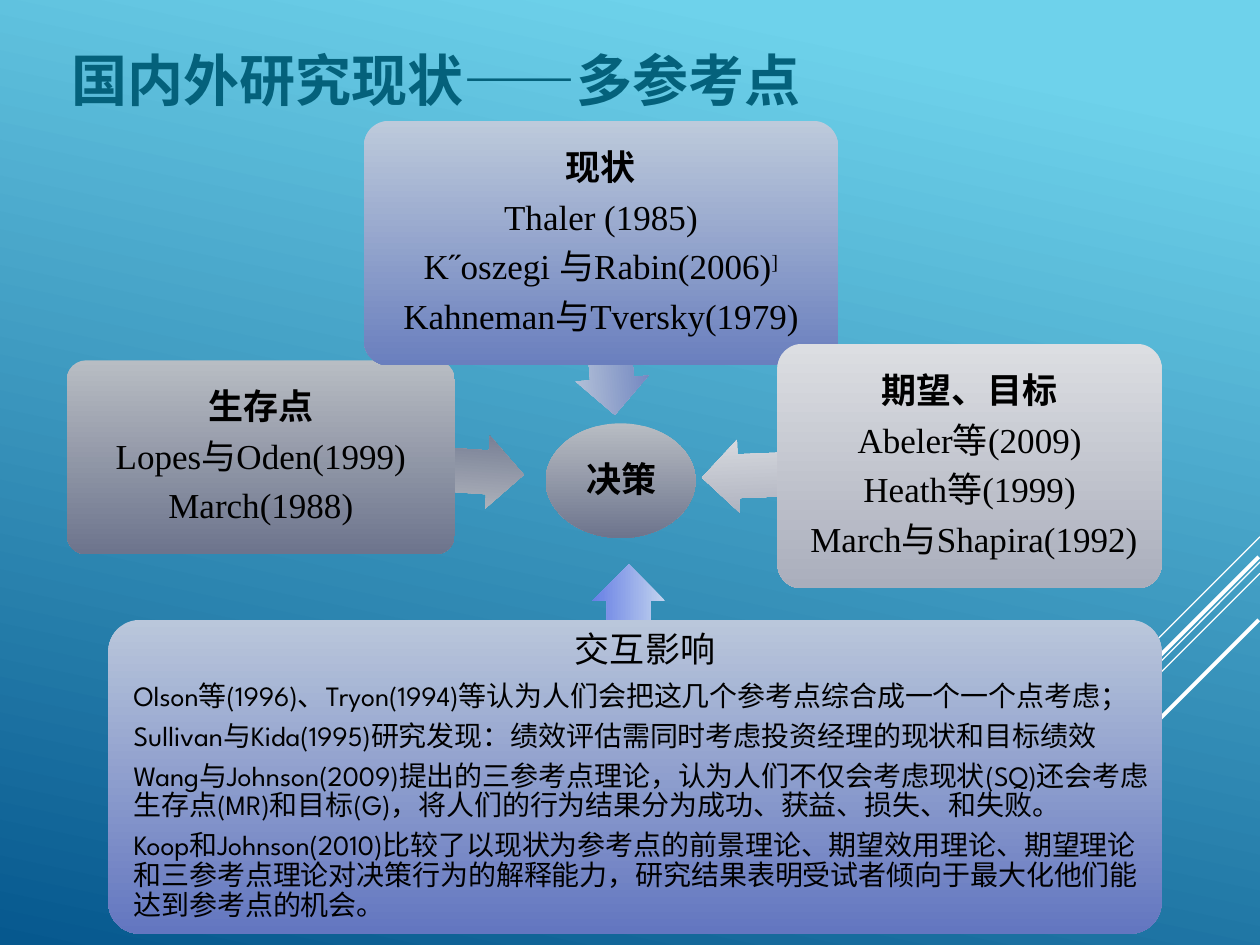
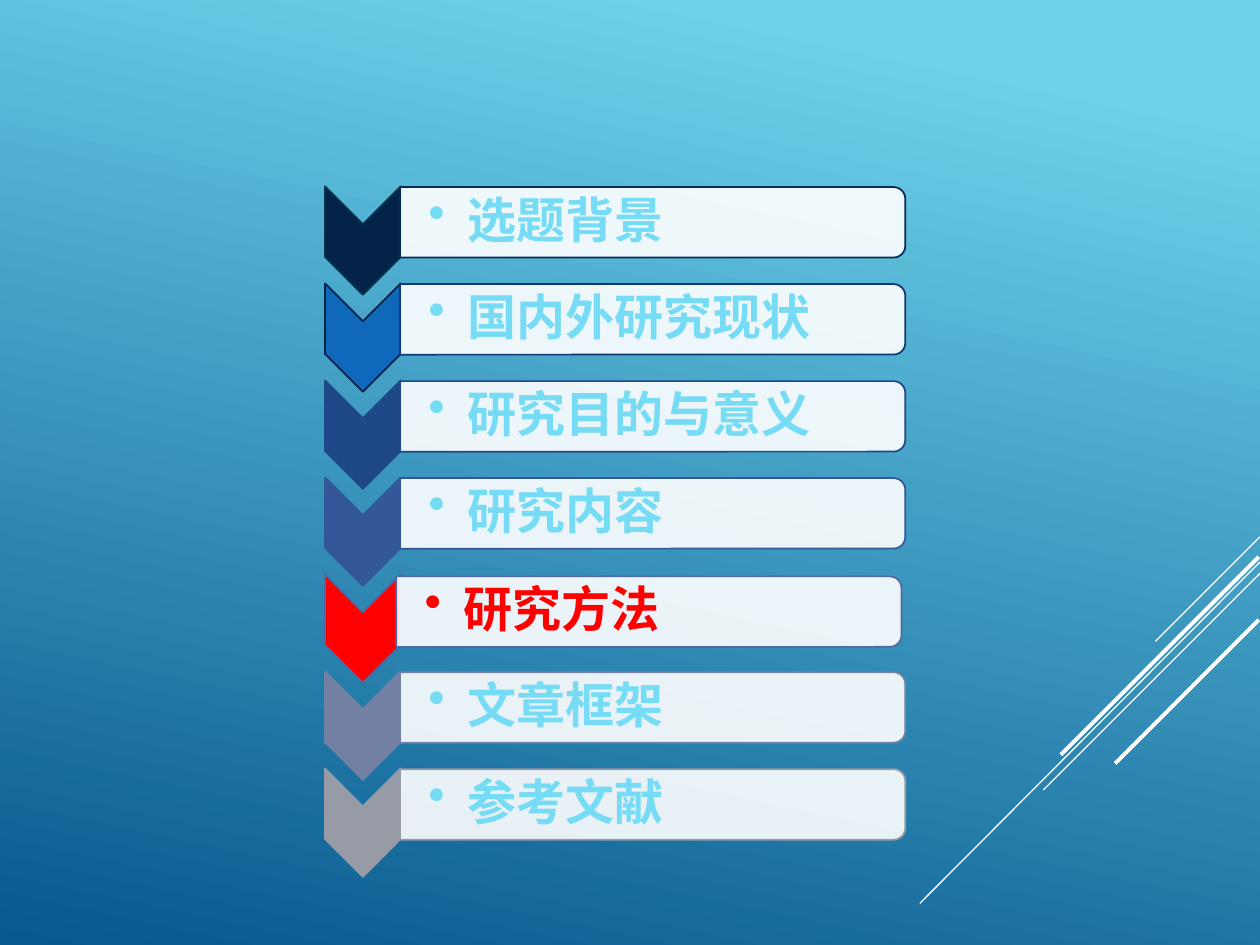
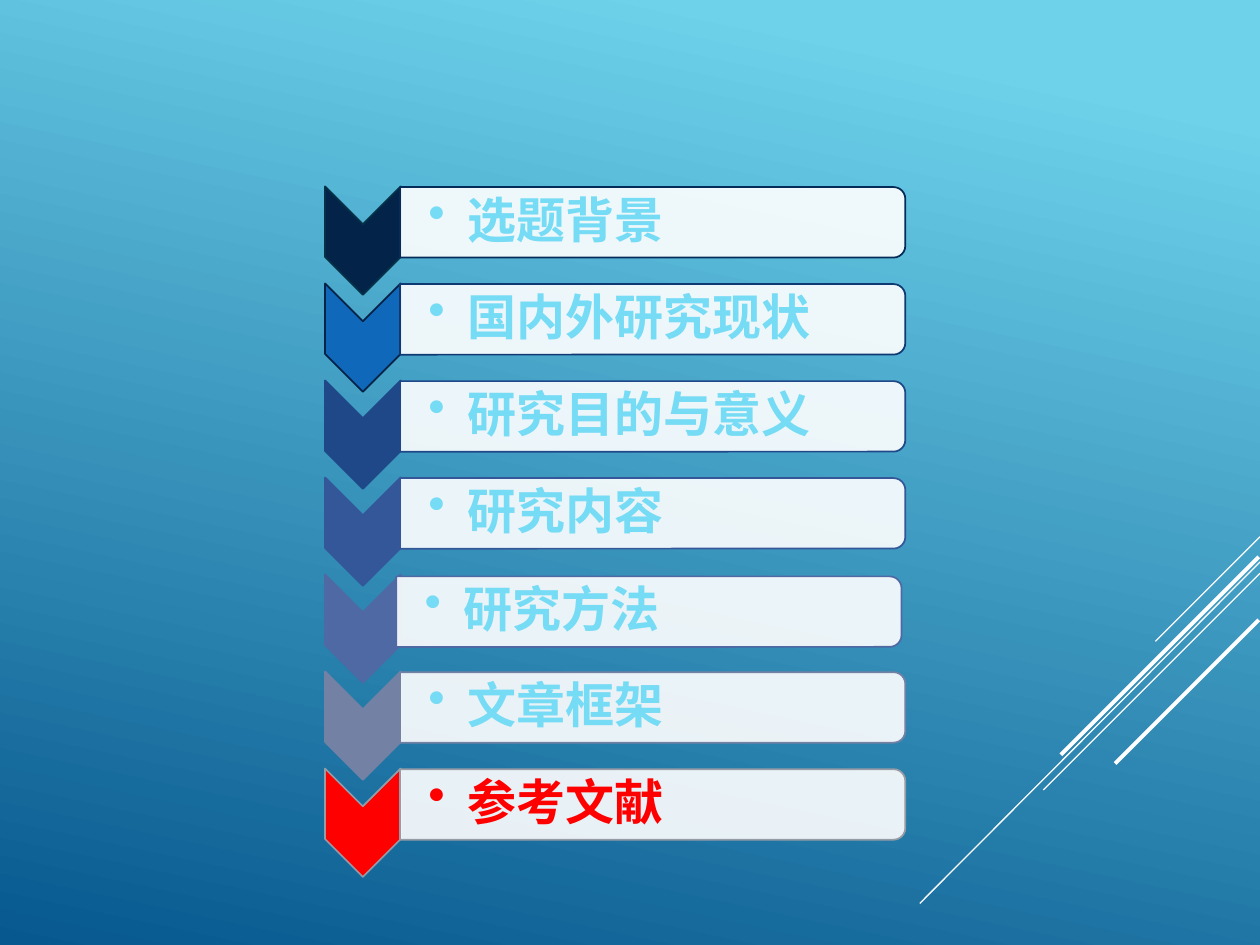
from dataclasses import dataclass

from lxml import etree
from pptx import Presentation, util as u
from pptx.dml.color import RGBColor
from pptx.enum import shapes, text
from pptx.oxml.ns import qn


@dataclass(frozen=True)
class Theme:
    sans: str = "League Spartan"
    serif: str = "Times New Roman"
    chinese: str = "Noto Sans CJK SC"
    sky: tuple = ("6ED2EB", "06588E")
    title: str = "04617B"
    ink: str = "000000"
    white: str = "FFFFFF"
    agenda: str = "76DBF4"
    active: str = "FF0000"
    title_size: int = 32
    agenda_size: int = 28
    heading_size: int = 20
    body_size: int = 16


theme = Theme()


def draw(slide, kind, box, fill, line=None, rotation=0, alpha=None, adjustments=()):
    shape = slide.shapes.add_shape(kind, *map(u.Inches, box))
    shape.shadow.inherit = False
    shape.rotation = rotation
    for index, value in enumerate(adjustments):
        shape.adjustments[index] = value
    if isinstance(fill, tuple):
        shape.fill.gradient()
        shape.fill.gradient_angle = 270
        for stop, color in zip(shape.fill.gradient_stops, fill):
            stop.color.rgb = RGBColor.from_string(color)
    else:
        shape.fill.solid()
        shape.fill.fore_color.rgb = RGBColor.from_string(fill)
    if alpha:
        color_node = shape.element.spPr.find(qn("a:solidFill"))[0]
        etree.SubElement(color_node, qn("a:alpha"), val=str(alpha * 1000))
    if line:
        shape.line.color.rgb = RGBColor.from_string(line)
        shape.line.width = u.Pt(1)
    else:
        shape.line.fill.background()
    return shape


def write(shape, lines, size, font=theme.sans, color=theme.ink, bold=False,
          align=text.PP_ALIGN.CENTER, anchor=text.MSO_ANCHOR.MIDDLE, wrap=True,
          insets=(0.04, 0.04, 0.04, 0.04), leading=1.07, after=0.35, indent=0, heading=None):
    frame = shape.text_frame
    frame.word_wrap = wrap
    frame.auto_size = text.MSO_AUTO_SIZE.NONE if wrap else text.MSO_AUTO_SIZE.SHAPE_TO_FIT_TEXT
    frame.vertical_anchor = anchor
    frame.margin_left, frame.margin_top, frame.margin_right, frame.margin_bottom = map(u.Inches, insets)
    base = dict(size=size, font=font, bold=bold, align=align)
    for index, line in enumerate(lines):
        style = base | heading if heading and index == 0 else base
        paragraph = frame.paragraphs[0] if index == 0 else frame.add_paragraph()
        paragraph.alignment = style["align"]
        paragraph.line_spacing = u.Pt(round(style["size"] * leading, 1))
        paragraph.space_before = u.Pt(0)
        paragraph.space_after = u.Pt(round(style["size"] * after, 1))
        if indent:
            properties = paragraph._p.get_or_add_pPr()
            properties.set("marL", str(u.Inches(indent)))
            properties.set("indent", str(-u.Inches(indent)))
            etree.SubElement(properties, qn("a:buChar"), char="•")
        normal, _, raised = line.partition("^")
        for words, baseline in ((normal, 0), (raised, 30000)):
            if not words:
                continue
            run = paragraph.add_run()
            run.text = words
            run.font.size = u.Pt(style["size"])
            run.font.name = style["font"]
            run.font.bold = style["bold"]
            run.font.color.rgb = RGBColor.from_string(color)
            run_properties = run._r.get_or_add_rPr()
            etree.SubElement(run_properties, qn("a:ea"), typeface=theme.chinese)
            if baseline:
                run_properties.set("baseline", str(baseline))


presentation = Presentation()
presentation.slide_width = u.Inches(10)
presentation.slide_height = u.Inches(7.5)
master = presentation.slide_master

sky = master.background.fill
sky.gradient()
sky.gradient_angle = 258
for stop, color, position in zip(sky.gradient_stops, theme.sky, (0.1, 1)):
    stop.color.rgb = RGBColor.from_string(color)
    stop.position = position

slide = presentation.slides.add_slide(presentation.slide_layouts[5])
stripes = [
    (10, 4.26, 9.17, 5.09, 0.75),
    (10, 4.46, 7.3, 7.17, 0.75),
    (10, 4.55, 8.28, 6.27, 0.75),
    (9.99, 4.42, 8.42, 5.99, 2.25),
    (9.99, 4.92, 8.85, 6.06, 2.25),
]
for *ends, width in stripes:
    stripe = slide.shapes.add_connector(shapes.MSO_CONNECTOR.STRAIGHT, *map(u.Inches, ends))
    stripe.line.color.rgb = RGBColor.from_string(theme.white)
    stripe.line.width = u.Pt(width)
    etree.SubElement(stripe.element.spPr, qn("a:effectLst"))
    master.shapes.element.append(stripe.element)

title = slide.shapes.title
title.left, title.top, title.width, title.height = map(u.Inches, (0.47, 0.31, 6.06, 0.64))
write(title, ["国内外研究现状——多参考点"], theme.title_size, font=theme.chinese, color=theme.title,
      bold=True, align=text.PP_ALIGN.LEFT, anchor=text.MSO_ANCHOR.TOP, wrap=False,
      insets=(0.1, 0.05, 0.1, 0.05), leading=1.2, after=0)

arrow_kind = shapes.MSO_SHAPE.LEFT_ARROW
card_kind = shapes.MSO_SHAPE.ROUNDED_RECTANGLE
arrow_shape = (0.6, 0.5)
card_heading = dict(font=theme.sans, bold=True)

draw(slide, arrow_kind, (3.96, 5.22, 2.06, 0.58), ("C2D3EE", "677FE5"), rotation=90, adjustments=arrow_shape)
draw(slide, shapes.MSO_SHAPE.OVAL, (4.33, 3.36, 1.19, 0.91), ("B8BDC3", "6D748D"))
decision = slide.shapes.add_textbox(*map(u.Inches, (4.51, 3.49, 0.84, 0.65)))
write(decision, ["决策"], theme.heading_size, bold=True, insets=(0.01, 0.01, 0.01, 0.01))

reference_points = [
    ((2.12, 3.41, 2.04, 0.58), 183.8, (0.53, 2.86, 3.08, 1.54), ("B8BDC3", "6D748D"),
     ["生存点", "Lopes与Oden(1999)", "March(1988)"]),
    ((4.14, 2.32, 1.37, 0.58), 265.4, (2.89, 0.96, 3.76, 1.94), ("BDCADB", "6A7FBE"),
     ["现状", "Thaler (1985)", "K˝oszegi 与Rabin(2006)^]", "Kahneman与Tversky(1979)"]),
    ((5.57, 3.46, 2.06, 0.58), 357.7, (6.17, 2.73, 3.05, 1.94), ("DCDEE2", "AAAEBC"),
     ["期望、目标", "Abeler等(2009)", "Heath等(1999)", " March与Shapira(1992)"]),
]
for arrow_box, rotation, card_box, fill, lines in reference_points:
    draw(slide, arrow_kind, arrow_box, fill, rotation=rotation, adjustments=arrow_shape)
    draw(slide, card_kind, card_box, fill, adjustments=(0.1,))
    left, top, width, height = card_box
    label_box = (left + 0.05, top + 0.05, width - 0.1, height - 0.1)
    label = slide.shapes.add_textbox(*map(u.Inches, label_box))
    write(label, lines, theme.heading_size, font=theme.serif, heading=card_heading)

draw(slide, card_kind, (0.86, 4.92, 8.36, 2.49), ("BAC7DB", "6376C0"), adjustments=(0.1,))
interaction = slide.shapes.add_textbox(*map(u.Inches, (1.02, 4.92, 8.2, 2.49)))
write(interaction, [
    "交互影响",
    "Olson等(1996)、Tryon(1994)等认为人们会把这几个参考点综合成一个一个点考虑；",
    "Sullivan与Kida(1995)研究发现：绩效评估需同时考虑投资经理的现状和目标绩效",
    "Wang与Johnson(2009)提出的三参考点理论，认为人们不仅会考虑现状(SQ)还会考虑生存点(MR)和目标(G)，"
    "将人们的行为结果分为成功、获益、损失、和失败。",
    "Koop和Johnson(2010)比较了以现状为参考点的前景理论、期望效用理论、期望理论和三参考点理论对决策行为的"
    "解释能力，研究结果表明受试者倾向于最大化他们能达到参考点的机会。",
], theme.body_size, align=text.PP_ALIGN.LEFT,
    heading=dict(size=theme.heading_size, align=text.PP_ALIGN.CENTER))

chapters = [
    ("选题背景", "042349", "043148", "052B58"),
    ("国内外研究现状", "0F68B9", "042349", "0F3973"),
    ("研究目的与意义", "1F4888", "1F4888", "1F4888"),
    ("研究内容", "345799", "345799", "345799"),
    ("研究方法", "4E69A4", "4E69A4", "4E69A4"),
    ("文章框架", "7381A5", "7381A5", "7381A5"),
    ("参考文献", "979BA6", "979BA6", "979BA6"),
]
row_step = 0.77
for current in ("研究方法", "参考文献"):
    slide = presentation.slides.add_slide(presentation.slide_layouts[6])
    for row, (chapter, fill, chevron_line, bar_line) in enumerate(chapters):
        offset = row * row_step
        shift, drop = (-0.03, 0.01) if chapter == "研究方法" else (0, 0)
        is_current = chapter == current
        draw(slide, shapes.MSO_SHAPE.CHEVRON, (2.45, 1.61 + offset, 0.86, 0.6),
             theme.active if is_current else fill, line=chevron_line, rotation=90)
        draw(slide, shapes.MSO_SHAPE.ROUND_2_SAME_RECTANGLE,
             (4.9 + shift, -0.24 + offset + drop, 0.56, 4.01),
             theme.white, line=bar_line, rotation=90, alpha=90)
        label_box = (3.18 + shift, 1.51 + offset + drop, 3.98, 0.5)
        label = slide.shapes.add_textbox(*map(u.Inches, label_box))
        write(label, [chapter], theme.agenda_size, bold=True, align=text.PP_ALIGN.LEFT,
              color=theme.active if is_current else theme.agenda,
              insets=(0.22, 0.02, 0.02, 0.02), after=0.15, indent=0.31)

presentation.save("out.pptx")
